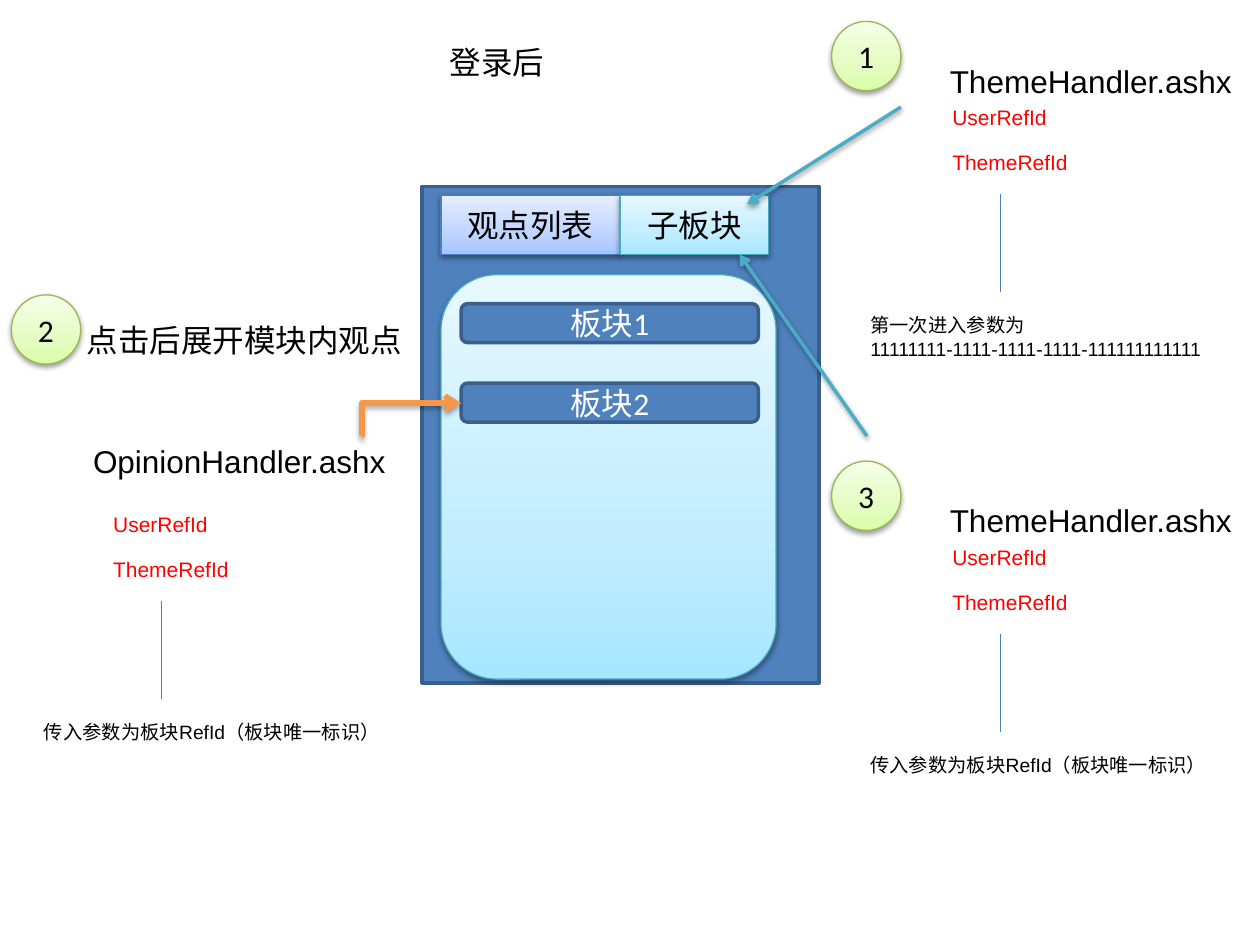
from copy import deepcopy
from dataclasses import dataclass

from lxml.etree import SubElement
from pptx import Presentation
from pptx.dml.color import RGBColor
from pptx.enum.shapes import MSO_CONNECTOR, MSO_SHAPE
from pptx.enum.text import MSO_ANCHOR, MSO_AUTO_SIZE, PP_ALIGN
from pptx.oxml.ns import qn
from pptx.util import Inches, Pt


@dataclass(frozen=True)
class Theme:
    black: str = "000000"
    white: str = "FFFFFF"
    red: str = "FF0000"
    blue: str = "4F81BD"
    blue_edge: str = "3A5F8C"
    thin_blue: str = "4B7EBC"
    aqua: str = "4BACC6"
    orange: str = "F79646"
    aqua_edge: str = "46AAC5"
    green_edge: str = "98B955"
    aqua_gradient: tuple = ("A7E6FF", "C1EDFF", "E7F8FF")
    blue_gradient: tuple = ("A4C4FF", "BFD4FF", "E6EEFF")
    green_gradient: tuple = ("DAFDA7", "E4FCC2", "F5FFE7")
    text_font: str = "Arial"
    shape_font: str = "Calibri"
    heading: int = 18
    parameter: int = 12
    note: int = 11


THEME = Theme()


def color(value):
    return RGBColor.from_string(value)


def add_shadow(effects, opacity=38, distance=1.6):
    shadow = SubElement(effects, qn("a:outerShdw"), blurRad=str(Pt(3.1)),
                        dist=str(Pt(distance)), dir="5400000", rotWithShape="0")
    shade = SubElement(shadow, qn("a:srgbClr"), val=THEME.black)
    SubElement(shade, qn("a:alpha"), val=str(opacity * 1000))


def write(text_frame, lines, size, ink, font=THEME.text_font, align=PP_ALIGN.LEFT):
    text_frame.text = "\n".join(lines)
    for paragraph in text_frame.paragraphs:
        paragraph.alignment = align
        paragraph.font.size = Pt(size)
        paragraph.font.name = font
        paragraph.font.color.rgb = color(ink)


def add_label(slide, left, top, width, height, lines, size, ink=THEME.black, wrap=False):
    box = slide.shapes.add_textbox(Inches(left), Inches(top), Inches(width), Inches(height))
    write(box.text_frame, lines, size, ink)
    box.text_frame.word_wrap = wrap
    box.text_frame.auto_size = MSO_AUTO_SIZE.SHAPE_TO_FIT_TEXT


def add_box(slide, kind, left, top, width, height, edge, text="", gradient=None):
    shape = slide.shapes.add_shape(kind, Inches(left), Inches(top), Inches(width), Inches(height))
    shape.shadow.inherit = False
    shape.line.color.rgb = color(edge)
    if gradient:
        shape.line.width = Pt(0.75)
        shape.fill.gradient()
        shape.fill.gradient_angle = 90
        stops = shape._element.spPr.find(".//" + qn("a:gsLst"))
        stops.insert(1, deepcopy(stops[0]))
        for stop, position, value in zip(shape.fill.gradient_stops, (0, 0.35, 1), gradient):
            stop.position = position
            stop.color.rgb = color(value)
        add_shadow(shape._element.spPr.find(qn("a:effectLst")))
    else:
        shape.line.width = Pt(2)
        shape.fill.solid()
        shape.fill.fore_color.rgb = color(THEME.blue)
    if text:
        shape.text_frame.vertical_anchor = MSO_ANCHOR.MIDDLE
        write(shape.text_frame, [text], THEME.heading,
              THEME.black if gradient else THEME.white, THEME.shape_font, PP_ALIGN.CENTER)


def add_line(slide, start, end, ink, width, kind=MSO_CONNECTOR.STRAIGHT):
    connector = slide.shapes.add_connector(kind, *map(Inches, start + end))
    connector.line.color.rgb = color(ink)
    connector.line.width = Pt(width)
    return connector, SubElement(connector._element.spPr, qn("a:effectLst"))


def add_arrow(slide, start, end, ink, width, kind=MSO_CONNECTOR.STRAIGHT, **shadow):
    connector, effects = add_line(slide, start, end, ink, width, kind)
    SubElement(connector.line._get_or_add_ln(), qn("a:tailEnd"), type="arrow")
    add_shadow(effects, **shadow)
    return connector


def add_badge(slide, left, top, number):
    add_box(slide, MSO_SHAPE.OVAL, left, top, 0.55, 0.55, THEME.green_edge,
            number, THEME.green_gradient)


def add_parameters(slide, left, top, note, note_offset):
    add_label(slide, left, top, 0.96, 0.3, ["UserRefId"], THEME.parameter, THEME.red)
    add_label(slide, left, top + 0.36, 1.13, 0.3, ["ThemeRefId"], THEME.parameter, THEME.red)
    add_line(slide, (left + 0.48, top + 1.54), (left + 0.48, top + 0.76), THEME.thin_blue, 0.75)
    add_label(slide, left + note_offset, top + 1.66, 3.62, 0.1 + 0.19 * len(note),
              note, THEME.note, wrap=True)


def add_theme_step(slide, left, top, number, note, arrow_start, arrow_end):
    add_badge(slide, left, top, number)
    add_label(slide, left + 0.84, top + 0.27, 2.46, 0.4, ["ThemeHandler.ashx"], THEME.heading)
    add_arrow(slide, arrow_start, arrow_end, THEME.aqua, 2)
    add_parameters(slide, left + 0.86, top + 0.61, note, -0.65)


def add_opinion_step(slide, left, top, note):
    arrow = add_arrow(slide, (left + 2.78, top + 1.12), (left + 3.57, top + 0.86),
                      THEME.orange, 3, MSO_CONNECTOR.ELBOW, opacity=35, distance=1.8)
    guides = arrow._element.spPr.find(qn("a:prstGeom")).get_or_add_avLst()
    SubElement(guides, qn("a:gd"), name="adj1", fmla="val 400")
    add_label(slide, left + 0.55, top + 1.12, 2.54, 0.4, ["OpinionHandler.ashx"], THEME.heading)
    add_parameters(slide, left + 0.71, top + 1.67, note, -0.55)
    add_badge(slide, left, top, "2")
    add_label(slide, left + 0.5, top + 0.16, 2.73, 0.4, ["点击后展开模块内观点"], THEME.heading)


def add_screen(slide, left, top):
    add_box(slide, MSO_SHAPE.RECTANGLE, left, top, 3.15, 3.94, THEME.blue_edge)
    add_box(slide, MSO_SHAPE.ROUNDED_RECTANGLE, left + 0.15, top + 0.7, 2.66, 3.21,
            THEME.aqua_edge, gradient=THEME.aqua_gradient)
    tabs = (
        ("观点列表", 0.15, 1.42, THEME.thin_blue, THEME.blue_gradient),
        ("子板块", 1.57, 1.18, THEME.aqua_edge, THEME.aqua_gradient),
    )
    for text, offset, width, edge, gradient in tabs:
        add_box(slide, MSO_SHAPE.RECTANGLE, left + offset, top + 0.07, width, 0.47,
                edge, text, gradient)
    for index, text in enumerate(("板块1", "板块2")):
        add_box(slide, MSO_SHAPE.ROUNDED_RECTANGLE, left + 0.31, top + 0.93 + 0.63 * index,
                2.36, 0.31, THEME.blue_edge, text)


def add_title(slide, left, top, width, height):
    title = slide.shapes.title
    title.left, title.top, title.width, title.height = map(Inches, (left, top, width, height))
    write(title.text_frame, ["登录后"], THEME.heading, THEME.black)
    title.text_frame.vertical_anchor = MSO_ANCHOR.TOP
    title.text_frame.word_wrap = False
    title.text_frame.auto_size = MSO_AUTO_SIZE.SHAPE_TO_FIT_TEXT


def main():
    presentation = Presentation()
    presentation.slide_width, presentation.slide_height = Inches(10), Inches(7.5)
    slide = presentation.slides.add_slide(presentation.slide_layouts[5])
    block_note = ["传入参数为板块RefId（板块唯一标识）"]
    first_note = ["第一次进入参数为", "11111111-1111-1111-1111-111111111111"]
    add_title(slide, 3.47, 0.29, 0.96, 0.4)
    add_screen(slide, 3.35, 1.48)
    add_theme_step(slide, 6.6, 0.17, "1", first_note, (7.15, 0.85), (5.93, 1.62))
    add_opinion_step(slide, 0.09, 2.34, block_note)
    add_theme_step(slide, 6.6, 3.66, "3", block_note, (6.88, 3.46), (5.87, 2.02))
    presentation.save("out.pptx")


main()
